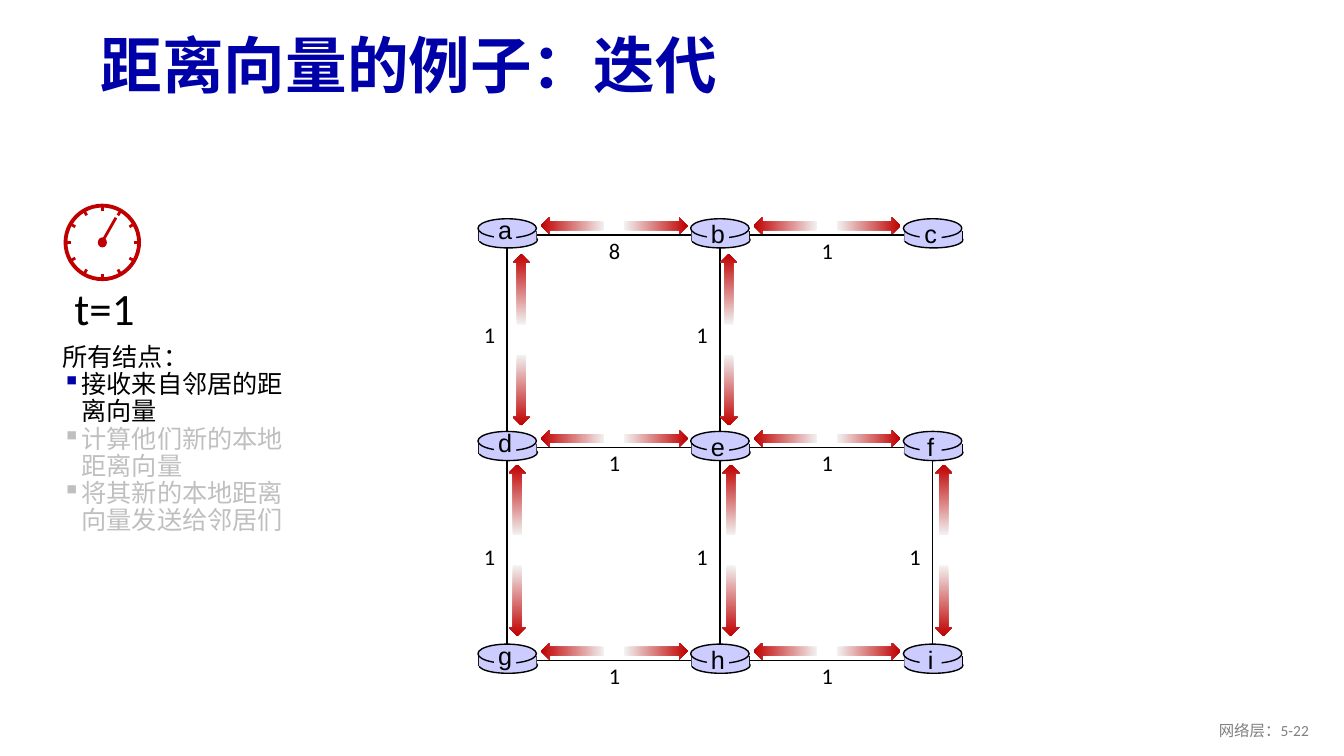
import dataclasses
import math

import lxml.etree
import pptx
import pptx.dml.color
import pptx.enum.shapes
import pptx.enum.text
import pptx.oxml.ns
import pptx.shapes.autoshape
import pptx.slide
import pptx.text.text
import pptx.util

SLIDE_WIDTH = pptx.util.Inches(13.33)
SLIDE_HEIGHT = pptx.util.Inches(7.5)
GRID_ROWS = 75
CELL = SLIDE_HEIGHT / GRID_ROWS
COLORS = {
    "title": "0000A8",
    "text": "000000",
    "muted": "BFBFBF",
    "footer": "808080",
    "clock": "C00000",
    "arrow_tail": "F2F2F2",
    "router": "CCCCFF",
}
SHAPE = pptx.enum.shapes.MSO_SHAPE
ALIGN = pptx.enum.text.PP_ALIGN
ANCHOR = pptx.enum.text.MSO_ANCHOR

NODE_LEFT, NODE_TOP, NODE_PITCH = 47.4, 21.7, 21.1
CENTER_X, CENTER_Y = 2.9, 1.6
ARROW_THICKNESS = 1.7


@dataclasses.dataclass(frozen=True)
class Style:
    size: float
    color: str = "text"
    font: str = "Calibri"
    bold: bool = False


@dataclasses.dataclass(frozen=True)
class Box:
    left: float
    top: float
    width: float
    height: float


@dataclasses.dataclass(frozen=True)
class Node:
    name: str
    column: int
    row: int

    @property
    def left(self) -> float:
        return NODE_LEFT + NODE_PITCH * self.column

    @property
    def top(self) -> float:
        return NODE_TOP + NODE_PITCH * self.row


@dataclasses.dataclass(frozen=True)
class Link:
    start: str
    end: str
    cost: str = "1"
    arrow_shift: float = 0
    label_shift: float = 0


@dataclasses.dataclass(frozen=True)
class Bullet:
    text: str
    marker_color: str
    text_color: str


NODES = {name: Node(name, index % 3, index // 3) for index, name in enumerate("abcdefghi")}
LINKS = [
    Link("a", "b", "8"), Link("b", "c"),
    Link("d", "e"), Link("e", "f"),
    Link("g", "h"), Link("h", "i"),
    Link("a", "d", arrow_shift=0.3), Link("b", "e", arrow_shift=-0.2),
    Link("d", "g", arrow_shift=-0.1, label_shift=0.9),
    Link("e", "h", label_shift=0.9), Link("f", "i", label_shift=0.9),
]
BULLETS = [
    Bullet("接收来自邻居的距离向量", "title", "text"),
    Bullet("计算他们新的本地距离向量", "muted", "muted"),
    Bullet("将其新的本地距离向量发送给邻居们", "muted", "muted"),
]


def cells(count: float) -> pptx.util.Emu:
    return pptx.util.Emu(round(count * CELL))


def rgb(name: str) -> pptx.dml.color.RGBColor:
    return pptx.dml.color.RGBColor.from_string(COLORS[name])


def add_run(paragraph: pptx.text.text._Paragraph, text: str, style: Style) -> None:
    run = paragraph.add_run()
    run.text = text
    run.font.name = style.font
    run.font.size = pptx.util.Pt(style.size)
    run.font.bold = style.bold
    run.font.color.rgb = rgb(style.color)


def add_text(slide: pptx.slide.Slide, box: Box, text: str, style: Style,
             align: ALIGN = ALIGN.LEFT, anchor: ANCHOR = ANCHOR.TOP,
             wrap: bool = True) -> pptx.text.text.TextFrame:
    shape = slide.shapes.add_textbox(*map(cells, dataclasses.astuple(box)))
    frame = shape.text_frame
    frame.word_wrap = wrap
    frame.vertical_anchor = anchor
    frame.paragraphs[0].alignment = align
    add_run(frame.paragraphs[0], text, style)
    return frame


def add_line(slide: pptx.slide.Slide, x1: float, y1: float, x2: float, y2: float,
             color: str = "text", width: float = 1) -> None:
    line = slide.shapes.add_connector(
        pptx.enum.shapes.MSO_CONNECTOR.STRAIGHT, *map(cells, (x1, y1, x2, y2)))
    line.line.color.rgb = rgb(color)
    line.line.width = pptx.util.Pt(width)
    properties = line._element.find(pptx.oxml.ns.qn("p:spPr"))
    lxml.etree.SubElement(properties, pptx.oxml.ns.qn("a:effectLst"))


def add_figure(slide: pptx.slide.Slide, kind: SHAPE, box: Box, fill: str = "",
               outline: str = "", width: float = 1) -> pptx.shapes.autoshape.Shape:
    shape = slide.shapes.add_shape(kind, *map(cells, dataclasses.astuple(box)))
    shape.shadow.inherit = False
    if fill:
        shape.fill.solid()
        shape.fill.fore_color.rgb = rgb(fill)
    else:
        shape.fill.background()
    if outline:
        shape.line.color.rgb = rgb(outline)
        shape.line.width = pptx.util.Pt(width)
    else:
        shape.line.fill.background()
    return shape


def add_arrow(slide: pptx.slide.Slide, x: float, y: float, length: float, angle: int) -> None:
    box = Box(x - length / 2, y - ARROW_THICKNESS / 2, length, ARROW_THICKNESS)
    arrow = add_figure(slide, SHAPE.RIGHT_ARROW, box)
    arrow.rotation = angle
    arrow.fill.gradient()
    arrow.fill.gradient_angle = 0
    for stop, color in zip(arrow.fill.gradient_stops, ("arrow_tail", "clock")):
        stop.color.rgb = rgb(color)


def add_edge(slide: pptx.slide.Slide, link: Link) -> None:
    start, end = NODES[link.start], NODES[link.end]
    add_line(slide, start.left + CENTER_X, start.top + CENTER_Y,
             end.left + CENTER_X, end.top + CENTER_Y)


def add_exchange(slide: pptx.slide.Slide, link: Link) -> None:
    start = NODES[link.start]
    if start.row == NODES[link.end].row:
        label_x, label_y = start.left + 12, start.top + 1.3
        for offset, angle in ((9.4, 180), (17.65, 0)):
            add_arrow(slide, start.left + offset, start.top + 0.7, 6.3, angle)
    else:
        label_x, label_y = start.left - 0.4, start.top + 9.7 + link.label_shift
        for offset, angle in ((7 - 0.2 * start.row, 270), (17 - 0.2 * start.row, 90)):
            add_arrow(slide, start.left + 4 + link.arrow_shift, start.top + offset, 7, angle)
    add_text(slide, Box(label_x, label_y, 3.3, 3.7), link.cost, Style(16))


def add_router(slide: pptx.slide.Slide, node: Node) -> None:
    left, top = node.left, node.top
    add_figure(slide, SHAPE.OVAL, Box(left + 0.1, top + 1.3, 5.8, 1.6), "router", "text")
    for side in (left + 0.1, left + 5.8):
        add_line(slide, side, top + 1.2, side, top + 2.2)
    add_figure(slide, SHAPE.RECTANGLE, Box(left + 0.1, top + 1.2, 5.7, 1), "router")
    add_figure(slide, SHAPE.OVAL, Box(left, top, 5.8, 1.9), "router", "text")
    add_figure(slide, SHAPE.RECTANGLE, Box(left + 1.6, top + 0.5, 2.2, 2), "router")
    lift = 0.9 if node.column == 0 else 0.5
    add_text(slide, Box(left + 1, top - lift, 3.4, 4), node.name,
             Style(18, font="Arial"), ALIGN.CENTER, wrap=False)


def add_clock(slide: pptx.slide.Slide, x: float, y: float) -> None:
    add_figure(slide, SHAPE.OVAL, Box(x - 3.65, y - 3.65, 7.3, 7.3), "", "clock", 2.75)
    for hour in range(12):
        across, down = math.cos(hour * math.pi / 6), math.sin(hour * math.pi / 6)
        add_line(slide, x + 3.1 * across, y + 3.1 * down,
                 x + 3.75 * across, y + 3.75 * down, "clock", 2)
    add_figure(slide, SHAPE.OVAL, Box(x - 0.45, y - 0.5, 0.9, 1), "clock")
    add_line(slide, x + 1.35, y - 2.45, x - 0.1, y + 0.1, "clock", 2)
    add_text(slide, Box(6.4, 27.4, 8.1, 6.4), "t=1", Style(32), wrap=False)


def add_steps(slide: pptx.slide.Slide) -> None:
    frame = add_text(slide, Box(5.2, 33.7, 24, 28.3), "所有结点：", Style(18))
    frame.paragraphs[0].line_spacing = 0.9
    for bullet in BULLETS:
        paragraph = frame.add_paragraph()
        paragraph.line_spacing = 0.9
        properties = paragraph._p.get_or_add_pPr()
        properties.set("marL", str(cells(1.9)))
        properties.set("indent", str(cells(-1.9)))
        color = lxml.etree.SubElement(properties, pptx.oxml.ns.qn("a:buClr"))
        lxml.etree.SubElement(color, pptx.oxml.ns.qn("a:srgbClr"), val=COLORS[bullet.marker_color])
        lxml.etree.SubElement(properties, pptx.oxml.ns.qn("a:buChar"), char="▪")
        add_run(paragraph, bullet.text, Style(18, bullet.text_color))


def main() -> None:
    presentation = pptx.Presentation()
    presentation.slide_width, presentation.slide_height = SLIDE_WIDTH, SLIDE_HEIGHT
    slide = presentation.slides.add_slide(presentation.slide_layouts[6])
    title = add_text(slide, Box(9, 1.9, 115, 9.8), "距离向量的例子：迭代",
                     Style(44, "title", bold=True), anchor=ANCHOR.MIDDLE)
    title.paragraphs[0].line_spacing = 0.9
    add_text(slide, Box(100.8, 70.5, 30, 4), "网络层：5-22", Style(11, "footer"),
             ALIGN.RIGHT, ANCHOR.MIDDLE)
    add_steps(slide)
    add_clock(slide, 10.15, 24.05)
    for link in LINKS:
        add_edge(slide, link)
    for node in NODES.values():
        add_router(slide, node)
    for link in LINKS:
        add_exchange(slide, link)
    presentation.save("out.pptx")


if __name__ == "__main__":
    main()
